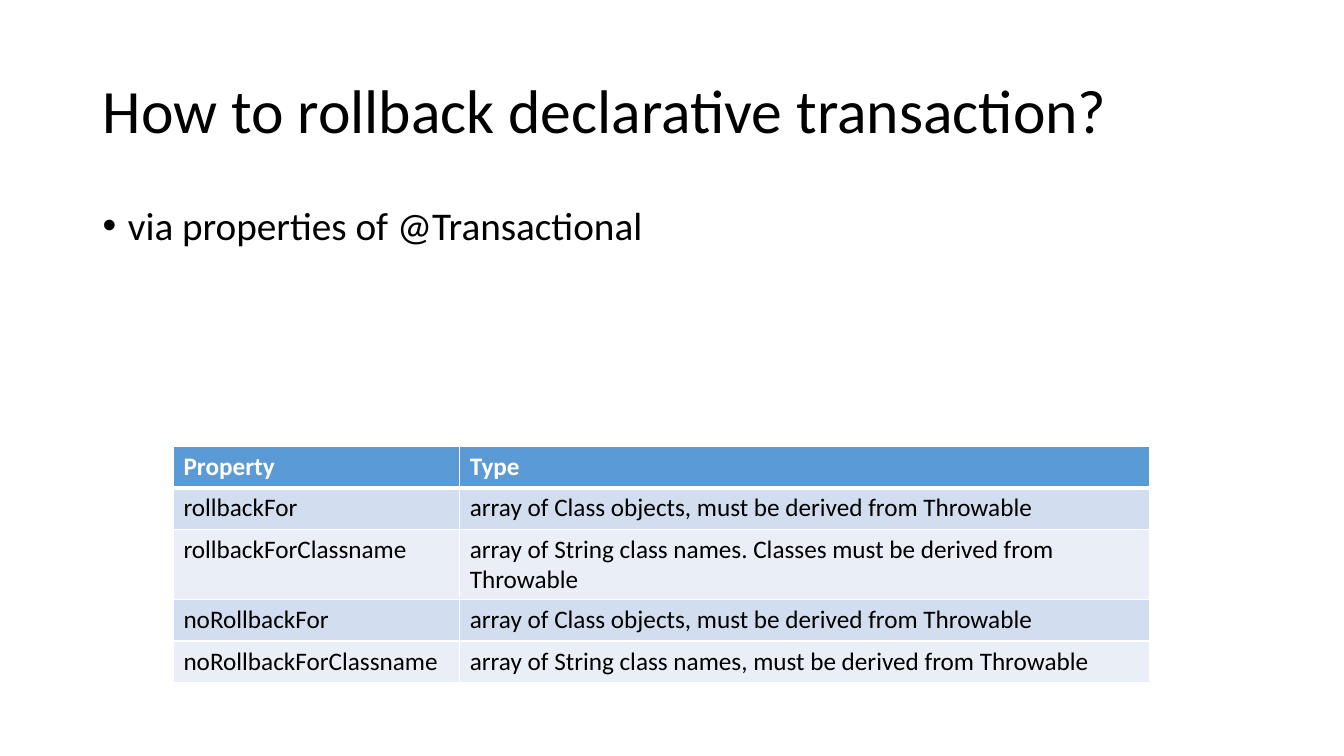
from lxml import etree
from pptx import Presentation
from pptx.dml.color import RGBColor
from pptx.enum.text import MSO_ANCHOR
from pptx.oxml.ns import qn
from pptx.util import Pt

TOP = MSO_ANCHOR.TOP
MIDDLE = MSO_ANCHOR.MIDDLE
SCALE = 9144

ROWS = [
    ("Property", "Type"),
    ("rollbackFor", "array of Class objects, must be derived from Throwable"),
    ("rollbackForClassname",
     "array of String class names. Classes must be derived from Throwable"),
    ("noRollbackFor", "array of Class objects, must be derived from Throwable"),
    ("noRollbackForClassname",
     "array of String class names, must be derived from Throwable"),
]


def px(size):
    return size * SCALE


def color(code):
    return RGBColor.from_string(code)


class Deck:
    face = "Calibri"
    ink = "000000"
    paper = "FFFFFF"
    head = "5B9BD5"
    bands = ("EAEFF7", "D2DEEF")

    def __init__(self, width, height):
        self.file = Presentation()
        self.file.slide_width = px(width)
        self.file.slide_height = px(height)
        self.slide = self.file.slides.add_slide(self.file.slide_layouts[6])

    def style(self, para, size, ink, bold=False):
        font = para.font
        font.name = self.face
        font.size = Pt(size)
        font.bold = bold
        font.color.rgb = color(ink)

    def text(self, words, box, size, anchor=TOP):
        frame = self.slide.shapes.add_textbox(*map(px, box)).text_frame
        frame.word_wrap = True
        frame.vertical_anchor = anchor
        para = frame.paragraphs[0]
        para.text = words
        para.line_spacing = 0.9
        self.style(para, size, self.ink)
        return para

    def bullet(self, words, box, size):
        para = self.text(words, box, size)
        para.space_before = Pt(10)
        props = para._p.get_or_add_pPr()
        props.set("marL", str(px(25)))
        props.set("indent", str(px(-25)))
        mark = etree.Element(qn("a:buChar"), char="•")
        props.find(qn("a:spcBef")).addnext(mark)
        face = etree.Element(qn("a:buFont"), typeface="Arial")
        mark.addprevious(face)

    def edge(self, cell, side, width):
        props = cell._tc.get_or_add_tcPr()
        line = etree.SubElement(props, qn("a:ln" + side), w=str(Pt(width)))
        fill = etree.SubElement(line, qn("a:solidFill"))
        etree.SubElement(fill, qn("a:srgbClr"), val=self.paper)

    def cell(self, cell, words, row):
        header = row == 0
        cell.text = words
        ink = self.paper if header else self.ink
        self.style(cell.text_frame.paragraphs[0], 18, ink, header)
        for side in "LRTB":
            thick = (side, row) in (("B", 0), ("T", 1))
            self.edge(cell, side, 3 if thick else 1)
        cell.fill.solid()
        cell.fill.fore_color.rgb = color(self.head if header else self.bands[row % 2])

    def table(self, rows, left, top, widths, height):
        box = (left, top, sum(widths), height * len(rows))
        frame = self.slide.shapes.add_table(len(rows), len(widths), *map(px, box))
        grid = frame.table
        for col, width in zip(grid.columns, widths):
            col.width = px(width)
        for row, line in enumerate(rows):
            for col, words in enumerate(line):
                self.cell(grid.cell(row, col), words, row)

    def save(self):
        self.file.save("out.pptx")


def main():
    deck = Deck(1333, 750)
    deck.text("How to rollback declarative transaction?", (92, 40, 1150, 145), 44, MIDDLE)
    deck.bullet("via properties of @Transactional", (92, 200, 1150, 476), 28)
    deck.table(ROWS, 172, 443, (284, 684), 41)
    deck.save()


if __name__ == "__main__":
    main()
